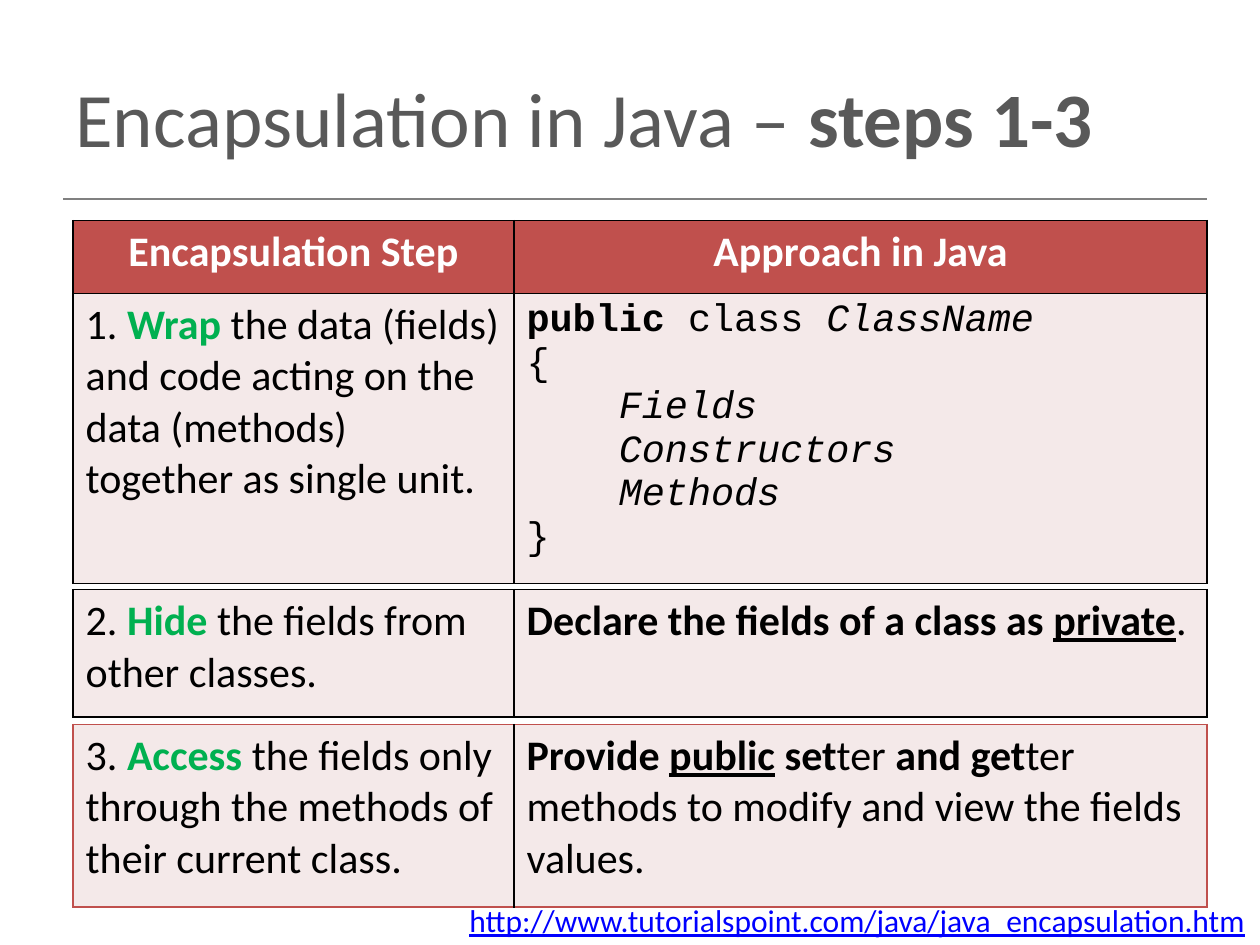
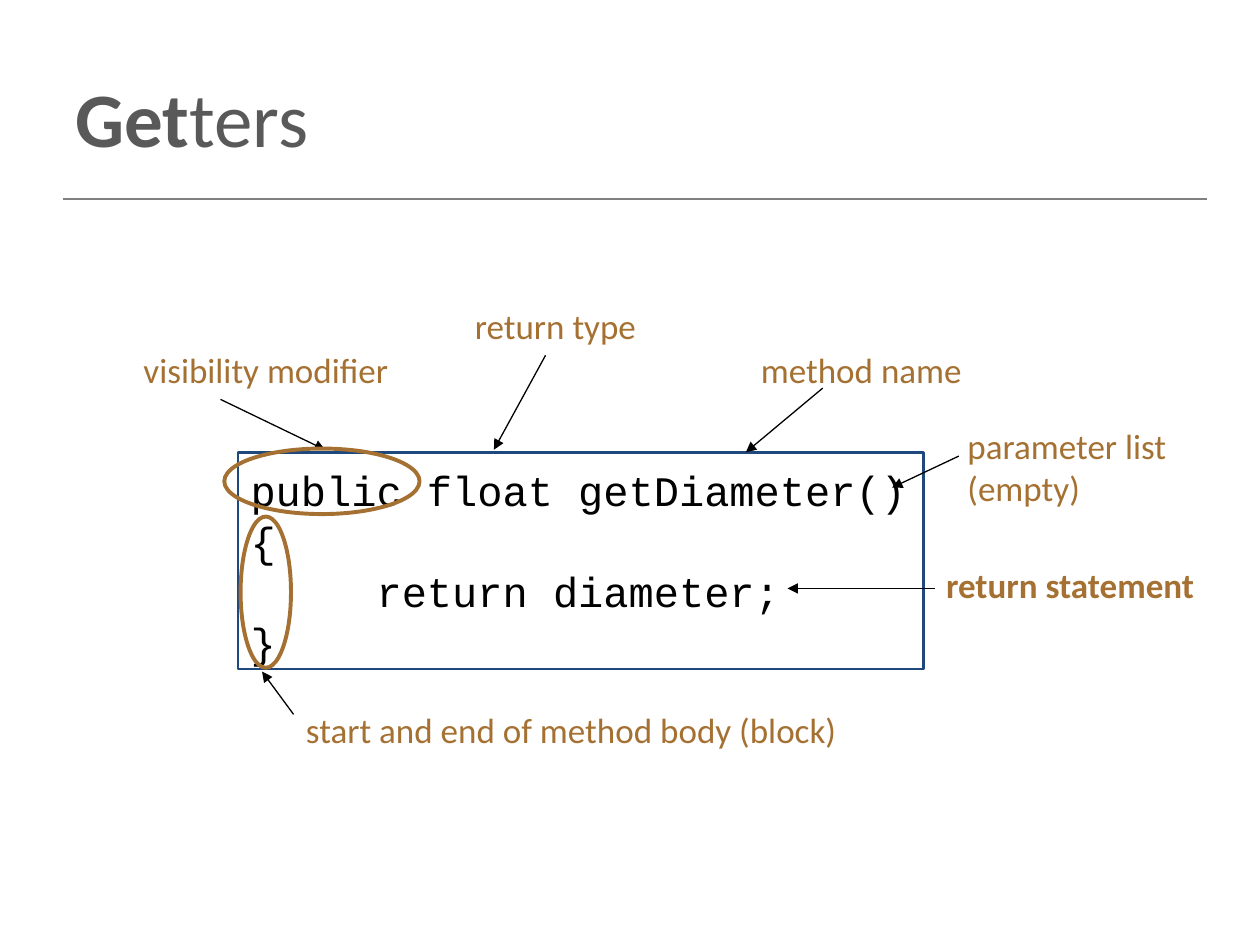
import pptx
import pptx.util
import pptx.dml.color
import pptx.enum.shapes
import pptx.enum.text
import pptx.oxml
import pptx.oxml.ns

Inches, Pt = pptx.util.Inches, pptx.util.Pt
ALIGN = pptx.enum.text.PP_ALIGN
ANCHOR = pptx.enum.text.MSO_ANCHOR
SHAPE = pptx.enum.shapes.MSO_SHAPE

COLORS = {
    "title": "595959", "rule": "808080", "text": "000000", "white": "FFFFFF",
    "header": "C0504D", "body": "F4E9E9", "step": "00B050", "link": "0000FF",
    "frame": "1F497D", "note": "A57133",
}
SANS, MONO = "Calibri", "Courier New"

STEPS_TITLE = [("Encapsulation in Java – ", ""), ("steps 1-3", "b")]
HEADINGS = ["Encapsulation Step", "Approach in Java"]
STEP_1 = [("1. ", ""), ("Wrap", "bg"),
          (" the data (fields) and code acting on the data (methods) together as single unit.", "")]
CLASS_CODE = [
    [("public", "b"), (" class ", ""), ("ClassName", "i")],
    [("{", "")],
    [("    Fields", "i")],
    [("    Constructors", "i")],
    [("    Methods", "i")],
    [("}", "")],
]
STEP_2 = [("2. ", ""), ("Hide ", "bg"), ("the fields from other classes.", "")]
APPROACH_2 = [("Declare the fields of a class as ", "b"), ("private", "bu"), (".", "")]
STEP_3 = [("3. ", ""), ("Access ", "bg"),
          ("the fields only through the methods of their current class.", "")]
APPROACH_3 = [("Provide ", "b"), ("public", "bu"), (" set", "b"), ("ter", ""), (" and get", "b"),
              ("ter methods to modify and view the fields values.", "")]
SOURCE = [("http://www.tutorialspoint.com/java/java_encapsulation.htm", "u")]

GETTERS_TITLE = [("Get", "b"), ("ters", "")]
GETTER_CODE = ["public float getDiameter()", "{", "     return diameter;", "}"]
NOTES = [
    ("return type", "", (3.67, 2.37, 1.72, 0.43), True),
    ("method name", "", (5.94, 2.72, 1.91, 0.43), False),
    ("parameter list (empty)", "", (7.58, 3.32, 2.26, 0.77), True),
    ("start and end of method body (block)", "", (2.33, 5.57, 4.98, 0.43), True),
    ("return statement", "b", (7.41, 4.42, 2.19, 0.44), False),
    ("visibility modifier", "", (1.04, 2.72, 2.39, 0.43), False),
]
ARROWS = [
    (2.33, 5.67, 2.08, 5.33),
    (4.33, 2.82, 3.92, 3.57),
    (6.53, 3.08, 5.92, 3.59),
    (7.61, 3.62, 7.08, 3.87),
    (7.42, 4.67, 6.25, 4.67),
    (1.75, 3.17, 2.58, 3.57),
]
RINGS = [(1.91, 4.1, 0.4, 1.2), (1.78, 3.56, 1.55, 0.52)]

COLUMNS = [3.5, 5.5]
ALL_BLACK = dict.fromkeys("LRTB", "text")
ALL_RED = dict.fromkeys("LRTB", "header")


def rgb(name):
    return pptx.dml.color.RGBColor.from_string(COLORS[name])


def write(frame, paragraphs, size, color, font=SANS, align=ALIGN.LEFT, spacing=None):
    for index, runs in enumerate(paragraphs):
        paragraph = frame.add_paragraph() if index else frame.paragraphs[0]
        paragraph.alignment = align
        if spacing:
            paragraph.line_spacing = Pt(spacing)
        for text, style in runs:
            run = paragraph.add_run()
            run.text = text
            run.font.name, run.font.size = font, Pt(size)
            run.font.bold = "b" in style
            run.font.italic = "i" in style
            run.font.underline = "u" in style
            run.font.color.rgb = rgb("step" if "g" in style else color)


def add_text(slide, box, paragraphs, size, color, wrap=True, anchor=ANCHOR.TOP, **options):
    frame = slide.shapes.add_textbox(*map(Inches, box)).text_frame
    frame.word_wrap = wrap
    frame.vertical_anchor = anchor
    write(frame, paragraphs, size, color, **options)


def add_line(slide, ends, color, width, arrow=False):
    line = slide.shapes.add_connector(pptx.enum.shapes.MSO_CONNECTOR.STRAIGHT, *map(Inches, ends))
    line.line.color.rgb = rgb(color)
    line.line.width = Pt(width)
    if arrow:
        tail = pptx.oxml.parse_xml(
            f'<a:tailEnd {pptx.oxml.ns.nsdecls("a")} type="triangle"/>')
        line.line._get_or_add_ln().append(tail)
    line._element.spPr.append(
        pptx.oxml.parse_xml(f'<a:effectLst {pptx.oxml.ns.nsdecls("a")}/>'))


def add_outline(slide, kind, box, color, width):
    outline = slide.shapes.add_shape(kind, *map(Inches, box))
    outline.shadow.inherit = False
    outline.fill.background()
    outline.line.color.rgb = rgb(color)
    outline.line.width = Pt(width)
    return outline


def style_cell(cell, fill, borders):
    properties = cell._tc.get_or_add_tcPr()
    for side in "LRTB":
        properties.append(pptx.oxml.parse_xml(
            f'<a:ln{side} {pptx.oxml.ns.nsdecls("a")} w="12700"><a:solidFill>'
            f'<a:srgbClr val="{COLORS[borders[side]]}"/></a:solidFill></a:ln{side}>'))
    cell.fill.solid()
    cell.fill.fore_color.rgb = rgb(fill)


def add_steps(slide, top, heights, borders):
    table = slide.shapes.add_table(
        len(heights), len(COLUMNS), Inches(0.58), Inches(top),
        Inches(sum(COLUMNS)), Inches(sum(heights))).table
    table.first_row = len(heights) > 1
    table.horz_banding = False
    for column, width in zip(table.columns, COLUMNS):
        column.width = Inches(width)
    for row, height in zip(table.rows, heights):
        row.height = Inches(height)
        fill = "header" if table.first_row and row is table.rows[0] else "body"
        for cell, edges in zip(row.cells, borders):
            style_cell(cell, fill, edges)
    return table


def add_titled_slide(deck, title):
    slide = deck.slides.add_slide(deck.slide_layouts[6])
    add_line(slide, (0.5, 1.58, 9.58, 1.58), "rule", 1)
    add_text(slide, (0.5, 0.3, 9, 1.25), [title], 44, "title", anchor=ANCHOR.MIDDLE)
    return slide


def build_steps(deck):
    slide = add_titled_slide(deck, STEPS_TITLE)
    add_text(slide, (2.05, 7.1, 7.93, 0.4), [SOURCE], 18, "link", align=ALIGN.RIGHT)

    wrap = add_steps(slide, 1.75, [0.58, 2.3], [ALL_BLACK, ALL_BLACK])
    for index, heading in enumerate(HEADINGS):
        cell = wrap.cell(0, index)
        cell.fill.fore_color.rgb = rgb("header")
        write(cell.text_frame, [[(heading, "b")]], 24, "white", align=ALIGN.CENTER)
    write(wrap.cell(1, 0).text_frame, [STEP_1], 24, "text")
    write(wrap.cell(1, 1).text_frame, CLASS_CODE, 22, "text", font=MONO)

    hide = add_steps(slide, 4.68, [1.01], [ALL_BLACK, ALL_BLACK])
    access = add_steps(slide, 5.75, [1.45], [ALL_RED | {"R": "text"}, ALL_RED | {"L": "text"}])
    for table, contents in ((hide, (STEP_2, APPROACH_2)), (access, (STEP_3, APPROACH_3))):
        for index, runs in enumerate(contents):
            write(table.cell(0, index).text_frame, [runs], 24, "text")


def build_getters(deck):
    slide = add_titled_slide(deck, GETTERS_TITLE)
    code = add_outline(slide, SHAPE.RECTANGLE, (1.89, 3.59, 5.44, 1.72), "frame", 1.5).text_frame
    code.word_wrap = False
    code.vertical_anchor = ANCHOR.TOP
    code.margin_top = Inches(0.1)
    write(code, [[(line, "")] for line in GETTER_CODE], 24, "text", font=MONO, spacing=28.8)
    for text, style, box, wrap in NOTES:
        add_text(slide, box, [[(text, style)]], 20, "note", wrap=wrap)
    for ends in ARROWS:
        add_line(slide, ends, "text", 0.75, arrow=True)
    for box in RINGS:
        add_outline(slide, SHAPE.OVAL, box, "note", 2.25)


def main():
    deck = pptx.Presentation()
    deck.slide_width, deck.slide_height = Inches(10), Inches(7.5)
    build_steps(deck)
    build_getters(deck)
    deck.save("out.pptx")


if __name__ == "__main__":
    main()
